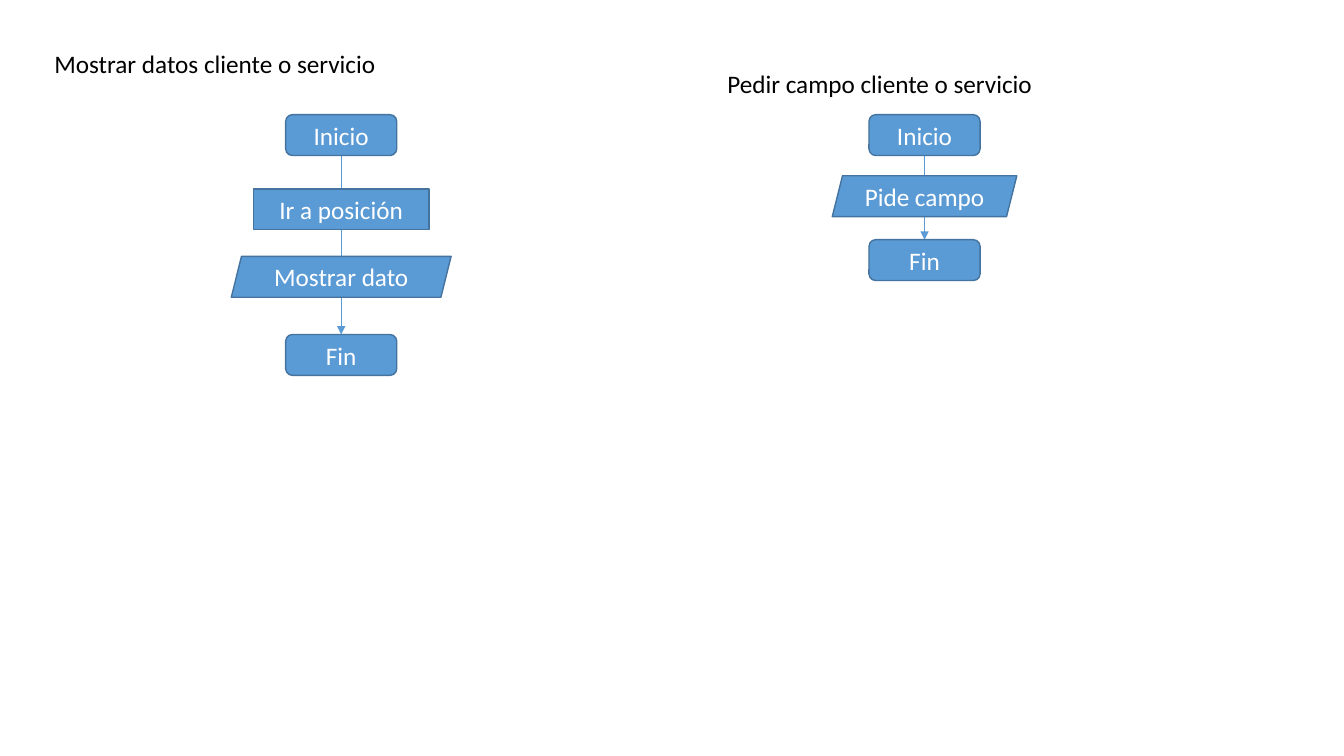
from lxml import etree
from pptx import Presentation
from pptx.dml.color import RGBColor
from pptx.enum.shapes import MSO_CONNECTOR, MSO_SHAPE
from pptx.enum.text import MSO_ANCHOR, MSO_AUTO_SIZE, PP_ALIGN
from pptx.oxml.ns import qn
from pptx.util import Cm, Pt

TERMINAL = MSO_SHAPE.ROUNDED_RECTANGLE
PROCESS = MSO_SHAPE.RECTANGLE
DATA = MSO_SHAPE.PARALLELOGRAM
STRAIGHT = MSO_CONNECTOR.STRAIGHT
LEFT, CENTER = PP_ALIGN.LEFT, PP_ALIGN.CENTER
MIDDLE = MSO_ANCHOR.MIDDLE
GROW = MSO_AUTO_SIZE.SHAPE_TO_FIT_TEXT

FONT = "Calibri"
BLUE, DARK_BLUE, WHITE, BLACK = "5B9BD5", "43739E", "FFFFFF", "000000"

# Lengths in centimetres
STEP_HEIGHT = 1.03
TERMINAL_WIDTH = 2.8
FIRST_TOP = 2.89

# Each flow: title, title box (left, top, width), centre, steps.
# Each step: text, shape, width, top
FLOWS = [
    ("Mostrar datos cliente o servicio", (1.12, 1.1, 8.69), 8.6, [
        ("Inicio", TERMINAL, TERMINAL_WIDTH, FIRST_TOP),
        ("Ir a posición", PROCESS, 4.43, 4.76),
        ("Mostrar dato", DATA, 5.54, 6.46),
        ("Fin", TERMINAL, TERMINAL_WIDTH, 8.43),
    ]),
    ("Pedir campo cliente o servicio", (18.08, 1.6, 8.28), 23.3, [
        ("Inicio", TERMINAL, TERMINAL_WIDTH, FIRST_TOP),
        ("Pide campo", DATA, 4.65, 4.43),
        ("Fin", TERMINAL, TERMINAL_WIDTH, 6.04),
    ]),
]


def color(hex_code):
    return RGBColor.from_string(hex_code)


def write_text(shape, text, size=18, text_color=BLACK, align=LEFT):
    paragraph = shape.text_frame.paragraphs[0]
    paragraph.alignment = align
    run = paragraph.add_run()
    run.text = text
    run.font.name = FONT
    run.font.size = Pt(size)
    run.font.color.rgb = color(text_color)


def add_title(slide, text, left, top, width):
    box = slide.shapes.add_textbox(Cm(left), Cm(top), Cm(width), Cm(STEP_HEIGHT))
    box.text_frame.word_wrap = False
    box.text_frame.auto_size = GROW
    write_text(box, text)


def add_step(slide, text, kind, center, width, top):
    shape = slide.shapes.add_shape(
        kind, Cm(center - width / 2), Cm(top), Cm(width), Cm(STEP_HEIGHT))
    shape.shadow.inherit = False
    shape.fill.solid()
    shape.fill.fore_color.rgb = color(BLUE)
    shape.line.color.rgb = color(DARK_BLUE)
    shape.line.width = Pt(1)
    shape.text_frame.word_wrap = True
    shape.text_frame.vertical_anchor = MIDDLE
    write_text(shape, text, text_color=WHITE, align=CENTER)
    return shape


def add_arrow(slide, center, top, bottom):
    arrow = slide.shapes.add_connector(
        STRAIGHT, Cm(center), Cm(top), Cm(center), Cm(bottom))
    arrow.line.color.rgb = color(BLUE)
    arrow.line.width = Pt(0.5)
    etree.SubElement(arrow.line._get_or_add_ln(), qn("a:tailEnd"), type="triangle")
    etree.SubElement(arrow._element.spPr, qn("a:effectLst"))
    return arrow


def add_flow(slide, title, title_box, center, steps):
    add_title(slide, title, *title_box)
    # One arrow runs behind all the steps, from the first to the last
    arrow = add_arrow(slide, center, steps[0][-1] + STEP_HEIGHT, steps[-1][-1])
    shapes = [add_step(slide, text, kind, center, width, top)
              for text, kind, width, top in steps]
    # Connection sites: 2 is the bottom, 0 the top
    arrow.begin_connect(shapes[0], 2)
    arrow.end_connect(shapes[-1], 0)


def main():
    presentation = Presentation()
    presentation.slide_width = Cm(33.87)
    presentation.slide_height = Cm(19.05)
    slide = presentation.slides.add_slide(presentation.slide_layouts[6])
    for flow in FLOWS:
        add_flow(slide, *flow)
    presentation.save("out.pptx")


main()
